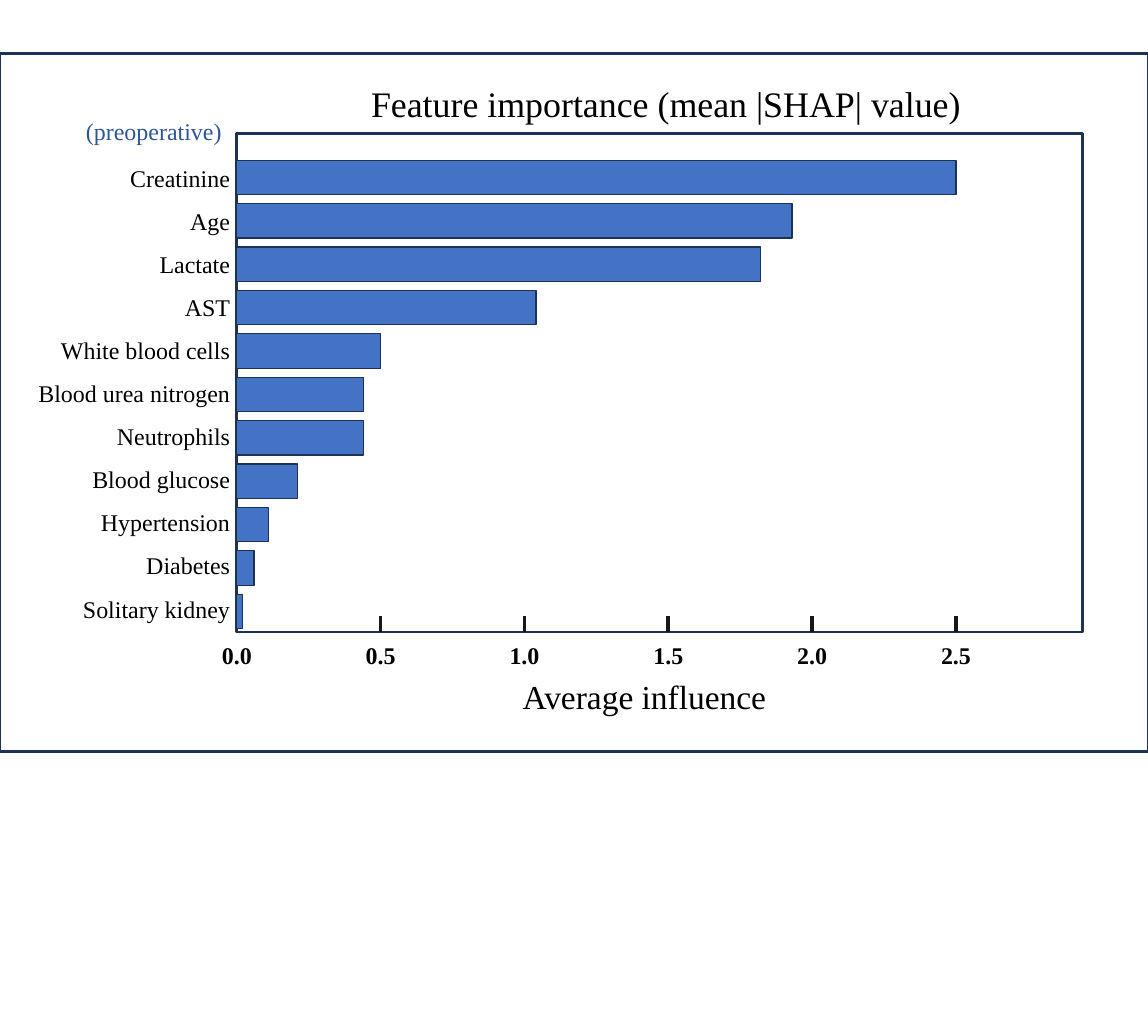
from pptx import Presentation
from pptx.dml.color import RGBColor
from pptx.enum.shapes import MSO_CONNECTOR, MSO_SHAPE
from pptx.enum.text import MSO_AUTO_SIZE, PP_ALIGN
from pptx.oxml.ns import qn
from pptx.util import Inches, Pt
from lxml import etree

RECT = MSO_SHAPE.RECTANGLE
LINE = MSO_CONNECTOR.STRAIGHT
GROW = MSO_AUTO_SIZE.SHAPE_TO_FIT_TEXT
LEFT, CENTER, RIGHT = PP_ALIGN.LEFT, PP_ALIGN.CENTER, PP_ALIGN.RIGHT

FONT = "Times New Roman"
BLACK = RGBColor(0x00, 0x00, 0x00)
NAVY = RGBColor(0x1E, 0x32, 0x56)
BLUE = RGBColor(0x44, 0x72, 0xC4)
NOTE = RGBColor(0x2F, 0x55, 0x97)
TICK = RGBColor(0x18, 0x17, 0x17)

FEATURES = [
    ("Creatinine", 2.5),
    ("Age", 1.93),
    ("Lactate", 1.82),
    ("AST", 1.04),
    ("White blood cells", 0.5),
    ("Blood urea nitrogen", 0.44),
    ("Neutrophils", 0.44),
    ("Blood glucose", 0.21),
    ("Hypertension", 0.11),
    ("Diabetes", 0.06),
    ("Solitary kidney", 0.02),
]
TICKS = [0.0, 0.5, 1.0, 1.5, 2.0, 2.5]

WIDTH, HEIGHT = 13.33, 11.81
AXIS_X, UNIT = 2.75, 3.34
PLOT_TOP, PLOT_W, PLOT_H = 1.55, 9.82, 5.79
BASE = PLOT_TOP + PLOT_H
BAR_TOP, BAR_LAST, BAR_H = 1.86, 6.9, 0.4
BAR_STEP = (BAR_LAST - BAR_TOP) / (len(FEATURES) - 1)
NAME_X, NAME_TOP, NAME_W, NAME_STEP = 0.2, 1.85, 2.57, 0.5
TEXT_H = 0.44
TICK_W, TICK_TOP = 0.55, 7.39

prs = Presentation()
prs.slide_width, prs.slide_height = Inches(WIDTH), Inches(HEIGHT)
slide = prs.slides.add_slide(prs.slide_layouts[6])
shapes = slide.shapes


def add_rect(x, y, w, h, weight, fill=None):
    box = shapes.add_shape(RECT, Inches(x), Inches(y), Inches(w), Inches(h))
    box.shadow.inherit = False
    if fill is None:
        box.fill.background()
    else:
        box.fill.solid()
        box.fill.fore_color.rgb = fill
    box.line.color.rgb = NAVY
    box.line.width = Pt(weight)


def add_text(text, x, y, w, h=TEXT_H, size=20, align=LEFT, color=BLACK,
             bold=False):
    frame = shapes.add_textbox(
        Inches(x), Inches(y), Inches(w), Inches(h)).text_frame
    frame.word_wrap = True
    frame.auto_size = GROW
    para = frame.paragraphs[0]
    para.text = text
    para.alignment = align
    font = para.font
    font.name, font.size, font.bold = FONT, Pt(size), bold
    font.color.rgb = color


def add_tick(x):
    tick = shapes.add_connector(
        LINE, Inches(x), Inches(BASE - 0.19), Inches(x), Inches(BASE))
    tick.line.color.rgb = TICK
    tick.line.width = Pt(3)
    etree.SubElement(tick._element.spPr, qn("a:effectLst"))


add_rect(AXIS_X, PLOT_TOP, PLOT_W, PLOT_H, 2.25)
add_text("Feature importance (mean |SHAP| value)", 4.21, 0.9, 8.3, 0.61, 30)
add_text("(preoperative)", 0.9, 1.3, 1.83, color=NOTE)

for row, (name, value) in enumerate(FEATURES):
    add_text(name, NAME_X, NAME_TOP + row * NAME_STEP, NAME_W, align=RIGHT)
    add_rect(AXIS_X, BAR_TOP + row * BAR_STEP, value * UNIT, BAR_H, 1, BLUE)

for value in TICKS:
    x = AXIS_X + value * UNIT
    if value:
        add_tick(x)
    add_text(f"{value:.1f}", x - TICK_W / 2, TICK_TOP, TICK_W,
             align=CENTER, bold=True)

add_text("Average influence", 5.97, 7.8, 3.3, 0.57, 28)
add_rect(0, 0.62, WIDTH, 8.11, 2.25)

prs.save("out.pptx")
